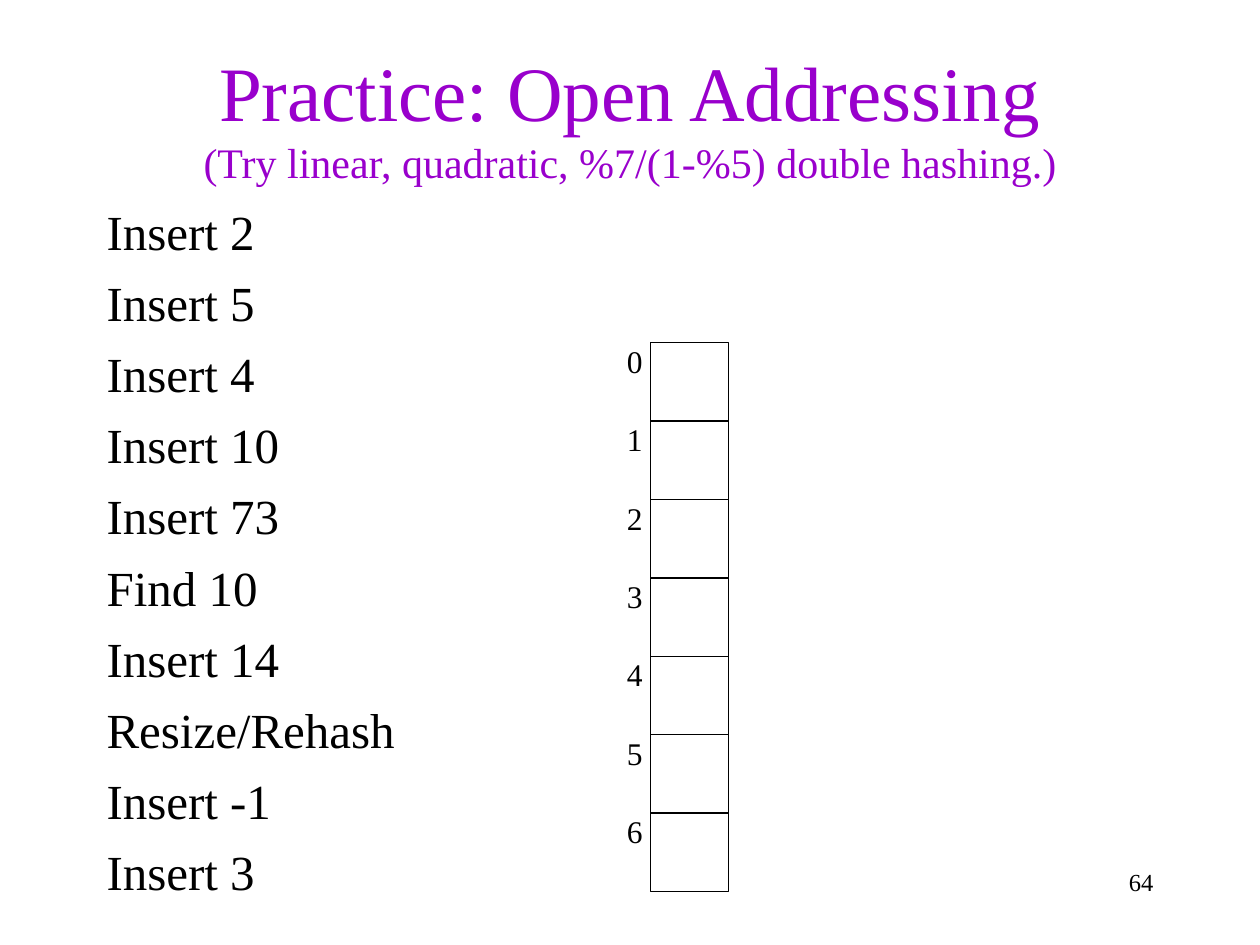
import pptx
import pptx.dml.color
import pptx.enum.shapes
import pptx.enum.text
import pptx.util
from pptx.util import Cm, Pt

COLORS = {"title": "9900CC", "text": "000000", "line": "000000"}
FONT = "Times New Roman"
ALIGN = pptx.enum.text.PP_ALIGN
OPERATIONS = [
    "Insert 2", "Insert 5", "Insert 4", "Insert 10", "Insert 73",
    "Find 10", "Insert 14", "Resize/Rehash", "Insert -1", "Insert 3",
]
TABLE_SIZE = 7
CELL = Cm(1.58)
TABLE_LEFT, TABLE_TOP = Cm(13.11), Cm(6.91)


def rgb(name):
    return pptx.dml.color.RGBColor.from_string(COLORS[name])


def style(paragraph, size, color="text", alignment=ALIGN.LEFT):
    paragraph.alignment = alignment
    paragraph.font.name = FONT
    paragraph.font.size = Pt(size)
    paragraph.font.color.rgb = rgb(color)


def add_text_frame(slide, left, top, width, height, wrap=True):
    text_frame = slide.shapes.add_textbox(left, top, width, height).text_frame
    text_frame.word_wrap = wrap
    return text_frame


def add_title(slide, title, subtitle):
    text_frame = add_text_frame(slide, Cm(1.9), Cm(0.74), Cm(21.6), Cm(3.18))
    text_frame.vertical_anchor = pptx.enum.text.MSO_ANCHOR.MIDDLE
    paragraph = text_frame.paragraphs[0]
    style(paragraph, 44, "title", ALIGN.CENTER)
    paragraph.add_run().text = title
    paragraph.add_line_break()
    subtitle_run = paragraph.add_run()
    subtitle_run.text = subtitle
    subtitle_run.font.size = Pt(24)


def add_operations(slide):
    text_frame = add_text_frame(slide, Cm(1.9), Cm(3.94), Cm(13.97), Cm(11.43))
    text_frame.text = "\n".join(OPERATIONS)
    for paragraph in text_frame.paragraphs:
        style(paragraph, 28)
        paragraph.space_after = Pt(7)


def add_label(slide, text, left, top):
    text_frame = add_text_frame(slide, left, top, Cm(0.83), Cm(1.02), wrap=False)
    text_frame.auto_size = pptx.enum.text.MSO_AUTO_SIZE.SHAPE_TO_FIT_TEXT
    text_frame.text = text
    style(text_frame.paragraphs[0], 18)


def add_cell(slide, left, top):
    cell = slide.shapes.add_shape(
        pptx.enum.shapes.MSO_SHAPE.RECTANGLE, left, top, CELL, CELL)
    cell.shadow.inherit = False
    cell.fill.background()
    cell.line.color.rgb = rgb("line")
    cell.line.width = Pt(0.75)


def add_hash_table(slide):
    for index in range(TABLE_SIZE):
        top = TABLE_TOP + index * CELL
        add_cell(slide, TABLE_LEFT, top)
        add_label(slide, str(index), TABLE_LEFT - Cm(0.72), top - Cm(0.14))


def add_page_number(slide, number):
    text_frame = add_text_frame(slide, Cm(18.2), Cm(17.35), Cm(5.3), Cm(1.27))
    text_frame.text = number
    style(text_frame.paragraphs[0], 14, alignment=ALIGN.RIGHT)


def main():
    presentation = pptx.Presentation()
    presentation.slide_width = Cm(25.4)
    presentation.slide_height = Cm(19.05)
    slide = presentation.slides.add_slide(presentation.slide_layouts[6])
    add_title(slide, "Practice: Open Addressing",
              "(Try linear, quadratic, %7/(1-%5) double hashing.)")
    add_operations(slide)
    add_hash_table(slide)
    add_page_number(slide, "64")
    presentation.save("out.pptx")


if __name__ == "__main__":
    main()
